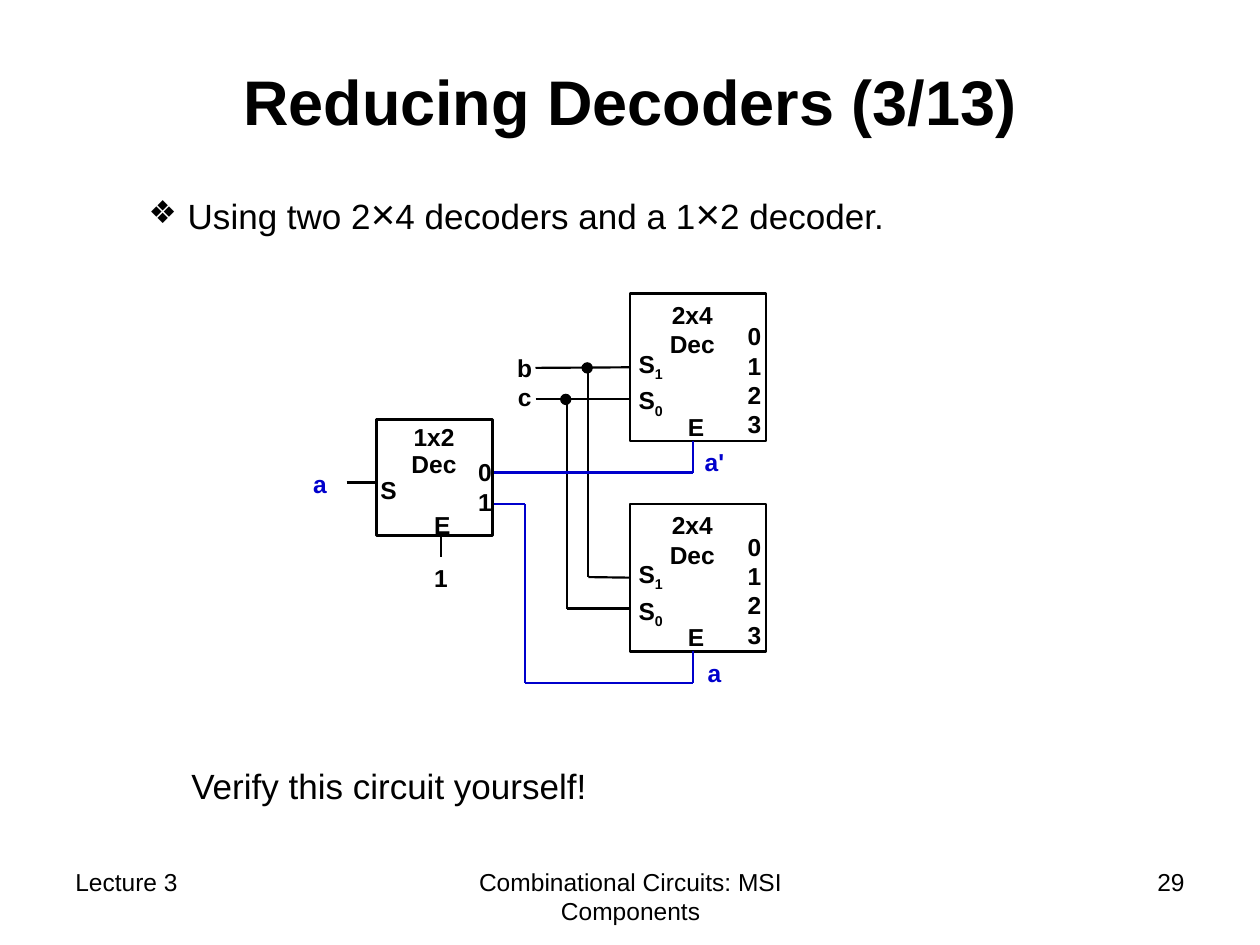
from lxml.etree import SubElement
from pptx import Presentation
from pptx.dml.color import RGBColor
from pptx.enum.shapes import MSO_CONNECTOR, MSO_SHAPE
from pptx.enum.text import MSO_ANCHOR, PP_ALIGN
from pptx.oxml.ns import qn
from pptx.util import Inches, Pt

BLACK = RGBColor(0x00, 0x00, 0x00)
BLUE = RGBColor(0x00, 0x00, 0xCC)
LEFT, MID, RIGHT = PP_ALIGN.LEFT, PP_ALIGN.CENTER, PP_ALIGN.RIGHT
BOLD = {"name": "Arial", "size": Pt(14), "bold": True}
PLAIN = {"name": "Arial", "size": Pt(14), "bold": False}
BODY = {"name": "Arial", "size": Pt(20), "bold": False}
HEAD = {"name": "Arial", "size": Pt(36), "bold": True}

TITLE = "Reducing Decoders (3/13)"
POINT = ["Using two 2", "×", "4 decoders and a 1", "×", "2 decoder."]
NOTE = "Verify this circuit yourself!"
FOOTER = [
    ("Lecture 3", 0.5, 2.33, LEFT),
    ("Combinational Circuits: MSI Components", 3.42, 3.17, MID),
    ("29", 7.17, 2.33, RIGHT),
]

# Each decoder: left, top, width, height, and labels placed from its top left.
# A label: lines, x, y, width, height, alignment; "_" starts a subscript.
LARGE = (1.08, 1.17, [
    (["2x4", "Dec"], 0.08, 0, 0.83, 0.57, MID),
    (["S_1", "S_0"], -0.03, 0.39, 0.47, 0.66, LEFT),
    (["0", "1", "2", "3"], 0.72, 0.17, 0.42, 1.04, RIGHT),
    (["E"], 0.36, 0.89, 0.33, 0.34, MID),
])
SMALL = (0.92, 0.92, [
    (["1x2", "Dec"], 0.04, 0, 0.83, 0.52, MID),
    (["S"], -0.07, 0.39, 0.47, 0.34, LEFT),
    (["0", "1"], 0.59, 0.25, 0.42, 0.57, RIGHT),
    (["E"], 0.34, 0.67, 0.36, 0.34, MID),
])
DECODERS = {
    "upper": (5, 2.33, LARGE),
    "lower": (5, 4, LARGE),
    "select": (2.99, 3.33, SMALL),
}

SIGNALS = [
    (["b", "c"], 4, 2.75, 0.33, 0.57, BLACK),
    (["a'"], 5.42, 3.5, 0.5, 0.34, BLUE),
    (["a"], 5.42, 5.17, 0.5, 0.34, BLUE),
    (["a"], 2.33, 3.67, 0.42, 0.34, BLUE),
    (["1"], 3.25, 4.42, 0.5, 0.34, BLACK),
]

# Each wire: corner points, colour, width, decoder joined at its left middle.
WIRES = [
    ([(4.25, 2.92), (5, 2.92)], BLACK, 1.25, "upper"),
    ([(4.25, 3.17), (5, 3.17)], BLACK, 1.25, None),
    ([(4.67, 2.92), (4.67, 4.58), (5, 4.58)], BLACK, 1.25, "lower"),
    ([(4.5, 3.17), (4.5, 4.83), (5, 4.83)], BLACK, 1.25, None),
    ([(2.75, 3.83), (3, 3.83)], BLACK, 1.25, None),
    ([(3.5, 4.25), (3.5, 4.42)], BLACK, 0.75, None),
    ([(3.92, 3.75), (5.5, 3.75), (5.5, 3.5)], BLUE, 1.25, None),
    ([(3.92, 4), (4.17, 4), (4.17, 5.42), (5.5, 5.42), (5.5, 5.17)],
     BLUE, 1.25, None),
]
DOTS = [(4.66, 2.92), (4.49, 3.17)]
DOT = 0.08


def style(font, form, color=BLACK):
    for key, value in form.items():
        setattr(font, key, value)
    font.color.rgb = color


def place(shape, *box):
    names = ("left", "top", "width", "height")
    for name, value in zip(names, box):
        setattr(shape, name, Inches(value))


def add_text(slide, lines, box, align, form=BOLD, color=BLACK):
    frame = slide.shapes.add_textbox(*map(Inches, box)).text_frame
    frame.word_wrap = True
    for i, line in enumerate(lines):
        para = frame.add_paragraph() if i else frame.paragraphs[0]
        para.alignment = align
        base, _, sub = line.partition("_")
        for part, low in ((base, False), (sub, True)):
            if part:
                run = para.add_run()
                run.text = part
                style(run.font, form, color)
                if low:
                    run._r.get_or_add_rPr().set("baseline", "-25000")
        if "_" in line and i:
            para.space_before = Pt(1.8)
        if lines[0] == "1x2":
            para.line_spacing = 0.9


def add_shape(slide, kind, box, width, fill=None):
    shape = slide.shapes.add_shape(kind, *map(Inches, box))
    shape.shadow.inherit = False
    if fill is None:
        shape.fill.background()
    else:
        shape.fill.solid()
        shape.fill.fore_color.rgb = fill
    shape.line.color.rgb = BLACK
    shape.line.width = Pt(width)
    return shape


def add_decoder(slide, x, y, model):
    wide, high, labels = model
    rect = add_shape(slide, MSO_SHAPE.RECTANGLE, (x, y, wide, high), 1.5)
    for lines, dx, dy, w, h, align in labels:
        add_text(slide, lines, (x + dx, y + dy, w, h), align)
    return rect


def add_wire(slide, points, color, width, rect):
    for start, end in zip(points, points[1:]):
        line = slide.shapes.add_connector(
            MSO_CONNECTOR.STRAIGHT, *map(Inches, start + end))
        line.line.color.rgb = color
        line.line.width = Pt(width)
        SubElement(line._element.spPr, qn("a:effectLst"))
    if rect is not None:
        line.end_connect(rect, 1)


def fill_title(shape):
    place(shape, 0.75, 0.17, 8.5, 1.25)
    frame = shape.text_frame
    frame.text = TITLE
    frame.vertical_anchor = MSO_ANCHOR.MIDDLE
    para = frame.paragraphs[0]
    para.alignment = MID
    style(para.runs[0].font, HEAD)


def fill_body(shape):
    place(shape, 0.58, 1.44, 8.42, 0.75)
    para = shape.text_frame.paragraphs[0]
    para.level = 1
    para.space_before = Pt(0)
    props = para._p.get_or_add_pPr()
    props.set("marL", str(Inches(0.81)))
    props.set("indent", str(-Inches(0.31)))
    SubElement(props, qn("a:buSzPct"), val="90000")
    SubElement(props, qn("a:buChar"), char="❖")
    for part in POINT:
        run = para.add_run()
        run.text = part
        style(run.font, BODY)
        if part == "×":
            run.font.size = Pt(24)


def main():
    deck = Presentation()
    deck.slide_width, deck.slide_height = Inches(10), Inches(7.5)
    slide = deck.slides.add_slide(deck.slide_layouts[1])
    fill_title(slide.shapes.title)
    fill_body(slide.placeholders[1])

    rects = {name: add_decoder(slide, *spot)
             for name, spot in DECODERS.items()}
    for points, color, width, name in WIRES:
        add_wire(slide, points, color, width, rects.get(name))
    for x, y in DOTS:
        box = (x - DOT / 2, y - DOT / 2, DOT, DOT)
        add_shape(slide, MSO_SHAPE.OVAL, box, 0.75, BLACK)
    for lines, *box, color in SIGNALS:
        add_text(slide, lines, box, MID, color=color)

    add_text(slide, [NOTE], (1.42, 6.02, 3.5, 0.44), LEFT, BODY)
    for text, x, wide, align in FOOTER:
        add_text(slide, [text], (x, 6.83, wide, 0.52), align, PLAIN)
    deck.save("out.pptx")


if __name__ == "__main__":
    main()
